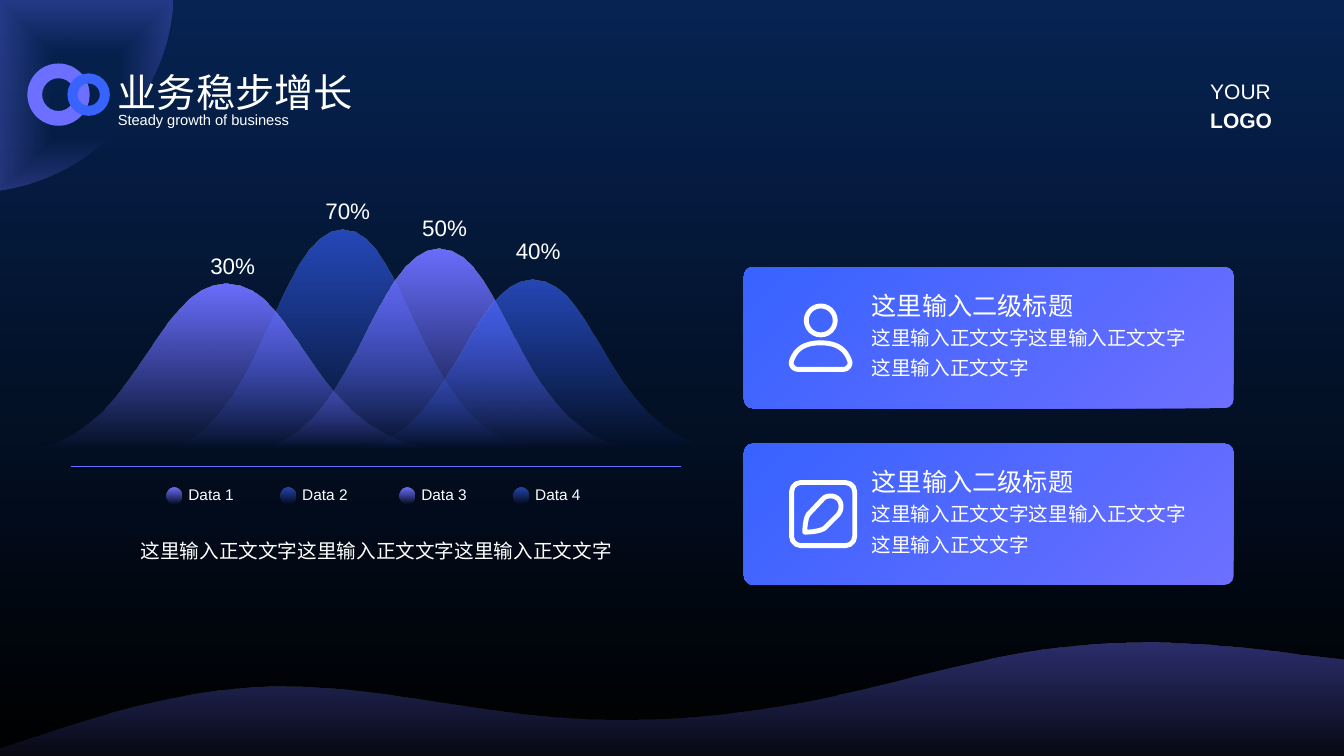
"""Build the business growth slide with bell curves and two cards."""
from dataclasses import dataclass

from lxml import etree
from pptx import Presentation
from pptx import slide as slides
from pptx import util as u
from pptx.dml import color, fill as fills
from pptx.enum import shapes, text
from pptx.oxml import ns
from pptx.shapes import autoshape

Cm, Pt = u.Cm, u.Pt
WHITE = color.RGBColor(0xFF, 0xFF, 0xFF)
BLACK = color.RGBColor(0, 0, 0)
NAVY = color.RGBColor(0x06, 0x23, 0x52)
VIOLET = color.RGBColor(0x6C, 0x6F, 0xFF)
BLUE = color.RGBColor(0x38, 0x63, 0xFF)
FONT = "Arial"
CURVE_STEPS = 16
BASELINE = 11.33
BODY = "这里输入正文文字" * 3
Point = tuple[float, float]


@dataclass(frozen=True)
class Stop:
    position: float
    rgb: color.RGBColor
    opacity: int = 100


@dataclass(frozen=True)
class Outline:
    start: Point
    segments: tuple[tuple[Point, ...], ...]


@dataclass(frozen=True)
class Peak:
    left: float
    width: float
    top: float
    stops: tuple[Stop, Stop]
    label: str
    label_left: float
    label_top: float


@dataclass(frozen=True)
class Label:
    content: str
    left: float
    top: float
    width: float
    height: float
    size: float
    align: text.PP_ALIGN = text.PP_ALIGN.LEFT
    anchor: text.MSO_ANCHOR = text.MSO_ANCHOR.TOP
    spacing: float = 1.0
    wrap: bool = True
    inset: tuple[float, float] = (0, 0)


VIOLET_FADE = (Stop(0, VIOLET), Stop(1, VIOLET, 0))
BLUE_FADE = (Stop(0, BLUE, 65), Stop(1, BLUE, 0))
CORNER_FADE = (Stop(0.39, VIOLET, 0), Stop(1, VIOLET, 31))
WAVE_FADE = (Stop(0, VIOLET, 40), Stop(1, VIOLET, 0))
CARD_BLEND = (Stop(0, VIOLET), Stop(1, BLUE))

PEAKS = (
    Peak(3.84, 10.02, 5.79, BLUE_FADE, "70%", 7.95, 4.85),
    Peak(6.2, 10.16, 6.27, VIOLET_FADE, "50%", 10.39, 5.26),
    Peak(0.41, 11.05, 7.14, VIOLET_FADE, "30%", 5.05, 6.22),
    Peak(8.71, 9.86, 7.04, BLUE_FADE, "40%", 12.75, 5.84),
)
LEGEND = (("Data 1", 4.19, VIOLET_FADE), ("Data 2", 7.06, BLUE_FADE),
          ("Data 3", 10.06, VIOLET_FADE), ("Data 4", 12.93, BLUE_FADE))
CORNER = Outline((0, 0), (
    ((4.34, 0),), ((4.34, 0.25),),
    ((4.11, 2.49), (2.44, 4.32), (0.28, 4.75)), ((0, 4.8),)))
WAVE = Outline((33.87, 16.64), (
    ((32.74, 16.51),),
    ((31.6, 16.36), (29.36, 16.05), (27.1, 16.28)),
    ((24.84, 16.48), (22.58, 17.25), (20.32, 17.68)),
    ((18.06, 18.11), (15.8, 18.26), (13.54, 18.03)),
    ((11.28, 17.81), (9.04, 17.25), (6.78, 17.3)),
    ((4.52, 17.37), (2.26, 18.11), (1.12, 18.49)),
    ((0, 18.85),), ((0, 19.74),), ((33.87, 19.74),)))
SHOULDERS = Outline((1.93, 1.91), (
    ((1.47, 1.91), (1.29, 2.11), (1.2, 2.36)),
    ((1.16, 2.46), (1.24, 2.58), (1.37, 2.58)),
    ((2.49, 2.58),),
    ((2.62, 2.58), (2.7, 2.46), (2.66, 2.36)),
    ((2.57, 2.11), (2.39, 1.91), (1.93, 1.91))))
PENCIL = Outline((2.18, 1.32), (
    ((2.27, 1.32), (2.32, 1.35), (2.37, 1.39)),
    ((2.47, 1.49), (2.47, 1.67), (2.37, 1.79)),
    ((2.04, 2.12),),
    ((1.98, 2.18), (1.77, 2.23), (1.53, 2.23)),
    ((1.54, 2), (1.57, 1.81), (1.66, 1.74)),
    ((1.99, 1.39),),
    ((2.04, 1.34), (2.1, 1.32), (2.18, 1.32))))


def paint(fill: fills.FillFormat, root: etree._Element,
          stops: tuple[Stop, ...], angle: float = 270) -> None:
    fill.gradient()
    fill.gradient_angle = angle
    for target, stop in zip(fill.gradient_stops, stops):
        target.position = stop.position
        target.color.rgb = stop.rgb
    for element, stop in zip(root.iter(ns.qn("a:gs")), stops):
        if stop.opacity < 100:
            alpha = etree.SubElement(element[0], ns.qn("a:alpha"))
            alpha.set("val", str(stop.opacity * 1000))


def add_preset(slide: slides.Slide, kind: shapes.MSO_SHAPE, left: float, top: float,
               width: float, height: float, adjustment: float | None = None) -> autoshape.Shape:
    shape = slide.shapes.add_shape(kind, Cm(left), Cm(top), Cm(width), Cm(height))
    shape.shadow.inherit = False
    shape.line.fill.background()
    if adjustment is not None:
        shape.adjustments[0] = adjustment
    return shape


def add_outline(slide: slides.Slide, outline: Outline,
                left: float = 0, top: float = 0) -> autoshape.Shape:
    points = [outline.start]
    for segment in outline.segments:
        if len(segment) == 1:
            points.append(segment[0])
            continue
        curve = (points[-1], *segment)
        for step in range(1, CURVE_STEPS + 1):
            t = step / CURVE_STEPS
            weights = ((1 - t) ** 3, 3 * t * (1 - t) ** 2, 3 * t * t * (1 - t), t ** 3)
            points.append((sum(w * p[0] for w, p in zip(weights, curve)),
                           sum(w * p[1] for w, p in zip(weights, curve))))
    first, *rest = [(Cm(left + x), Cm(top + y)) for x, y in points]
    builder = slide.shapes.build_freeform(*first)
    builder.add_line_segments(rest, close=True)
    shape = builder.convert_to_shape()
    shape.shadow.inherit = False
    shape.line.fill.background()
    return shape


def stroke(shape: autoshape.Shape) -> None:
    shape.fill.background()
    shape.line.color.rgb = WHITE
    shape.line.width = Pt(3.5)


def add_label(slide: slides.Slide, label: Label) -> text.MSO_ANCHOR:
    box = slide.shapes.add_textbox(Cm(label.left), Cm(label.top), Cm(label.width), Cm(label.height))
    frame = box.text_frame
    frame.text = label.content
    frame.word_wrap = label.wrap
    frame.vertical_anchor = label.anchor
    frame.margin_left = frame.margin_right = Cm(label.inset[0])
    frame.margin_top = frame.margin_bottom = Cm(label.inset[1])
    for paragraph in frame.paragraphs:
        paragraph.alignment = label.align
        paragraph.line_spacing = label.spacing
        for run in paragraph.runs:
            run.font.name = FONT
            run.font.size = Pt(label.size)
            run.font.color.rgb = WHITE
    return frame


def add_peak(slide: slides.Slide, peak: Peak) -> None:
    def at(fraction: float, y: float) -> Point:
        return peak.left + fraction * peak.width, y

    bell = Outline(at(0, BASELINE), (
        (at(0.27, BASELINE), at(0.31, peak.top), at(0.48, peak.top)),
        (at(0.65, peak.top), at(0.67, BASELINE), at(1, BASELINE))))
    shape = add_outline(slide, bell)
    paint(shape.fill, shape.element, peak.stops)


def add_card(slide: slides.Slide, left: float, top: float) -> None:
    card = add_preset(slide, shapes.MSO_SHAPE.ROUNDED_RECTANGLE, left, top, 12.34, 3.56, 0.064)
    paint(card.fill, card.element, CARD_BLEND, 135)
    add_label(slide, Label("这里输入二级标题", left + 3.22, top + 0.58, 5.51, 0.76, 18))
    add_label(slide, Label(BODY, left + 3.22, top + 1.3, 7.98, 1.5, 14, spacing=1.3))


def main() -> None:
    presentation = Presentation()
    presentation.slide_width, presentation.slide_height = Cm(33.87), Cm(19.05)
    slide = presentation.slides.add_slide(presentation.slide_layouts[6])
    paint(slide.background.fill, slide.element, (Stop(0, NAVY), Stop(1, BLACK)))

    corner = add_outline(slide, CORNER)
    paint(corner.fill, corner.element, CORNER_FADE)
    linear = next(corner.element.iter(ns.qn("a:lin")))
    radial = etree.Element(ns.qn("a:path"), {"path": "shape"})
    etree.SubElement(radial, ns.qn("a:fillToRect"), dict.fromkeys("ltrb", "50000"))
    linear.getparent().replace(linear, radial)

    middle, center = text.MSO_ANCHOR.MIDDLE, text.PP_ALIGN.CENTER
    add_label(slide, Label("业务稳步增长", 2.97, 1.73, 7.87, 1.19, 28, anchor=middle))
    add_label(slide, Label("Steady growth of business", 2.97, 2.79, 7.87, 0.46, 10.5, anchor=middle))
    for left, top, size, rgb in ((0.69, 1.6, 1.57, VIOLET), (1.7, 1.85, 1.07, BLUE)):
        ring = add_preset(slide, shapes.MSO_SHAPE.DONUT, left, top, size, size, 0.237)
        ring.fill.solid()
        ring.fill.fore_color.rgb = rgb
    wave = add_outline(slide, WAVE)
    paint(wave.fill, wave.element, WAVE_FADE)

    for peak in PEAKS:
        add_peak(slide, peak)
    for peak in PEAKS:
        add_label(slide, Label(peak.label, peak.label_left, peak.label_top, 1.78, 0.99, 16,
                               wrap=False, inset=(0.25, 0.13)))
    for name, left, stops in LEGEND:
        dot = add_preset(slide, shapes.MSO_SHAPE.OVAL, left, 12.29, 0.39, 0.39)
        paint(dot.fill, dot.element, stops)
        add_label(slide, Label(name, left + 0.38, 12.19, 1.5, 0.56, 11, center, middle, wrap=False))
    axis = slide.shapes.add_connector(shapes.MSO_CONNECTOR.STRAIGHT,
                                      Cm(1.78), Cm(11.76), Cm(17.17), Cm(11.76))
    axis.line.color.rgb = VIOLET
    axis.line.width = Pt(0.5)
    etree.SubElement(axis.element.spPr, ns.qn("a:effectLst"))
    add_label(slide, Label(BODY, 2.79, 13.41, 13.39, 0.74, 14, center, spacing=1.3))

    card_left, person_top, pencil_top = 18.75, 6.73, 11.18
    for top in (person_top, pencil_top):
        add_card(slide, card_left, top)
    stroke(add_preset(slide, shapes.MSO_SHAPE.OVAL, card_left + 1.57, person_top + 0.98, 0.73, 0.73))
    stroke(add_outline(slide, SHOULDERS, card_left, person_top))
    stroke(add_preset(slide, shapes.MSO_SHAPE.ROUNDED_RECTANGLE,
                      card_left + 1.2, pencil_top + 0.98, 1.59, 1.59, 0.145))
    stroke(add_outline(slide, PENCIL, card_left, pencil_top))

    logo = add_label(slide, Label("YOUR\nLOGO", 30.5, 1.9, 1.8, 1.35, 15, spacing=1.13, wrap=False))
    logo.paragraphs[1].runs[0].font.bold = True
    presentation.save("out.pptx")


if __name__ == "__main__":
    main()
